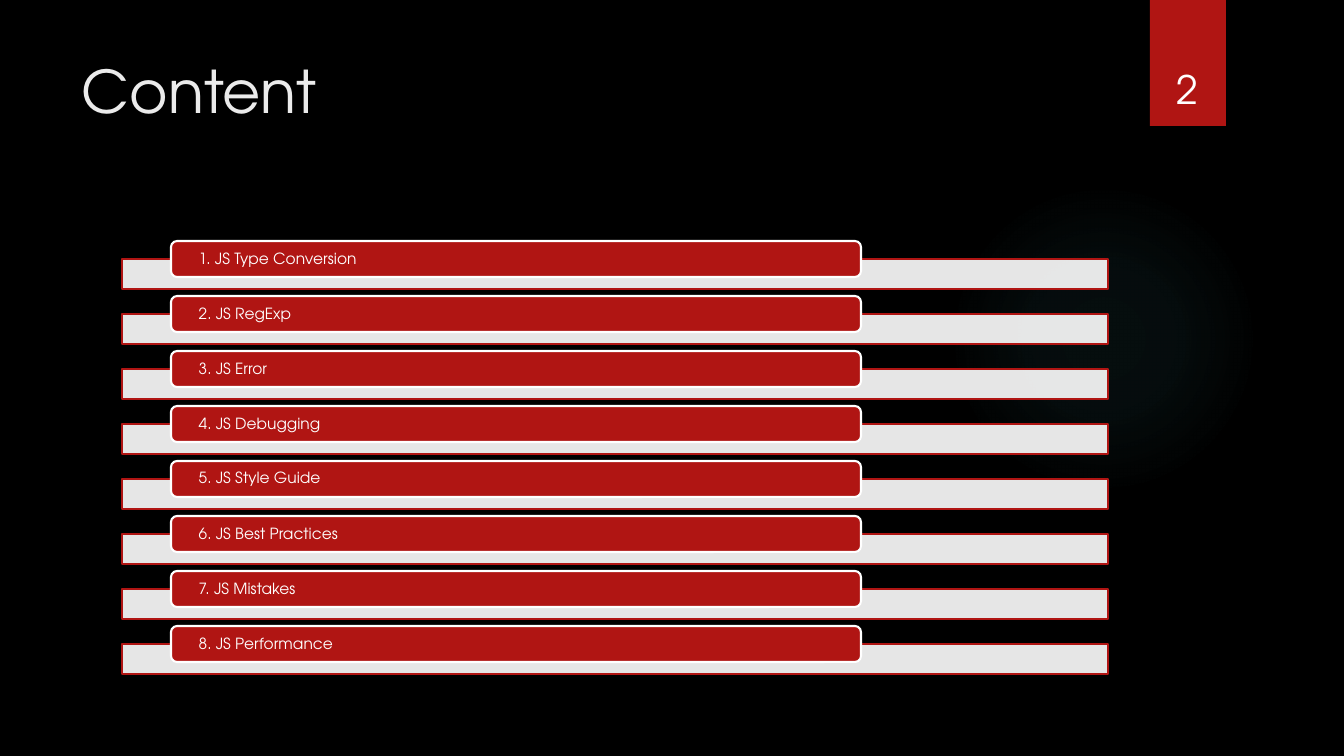
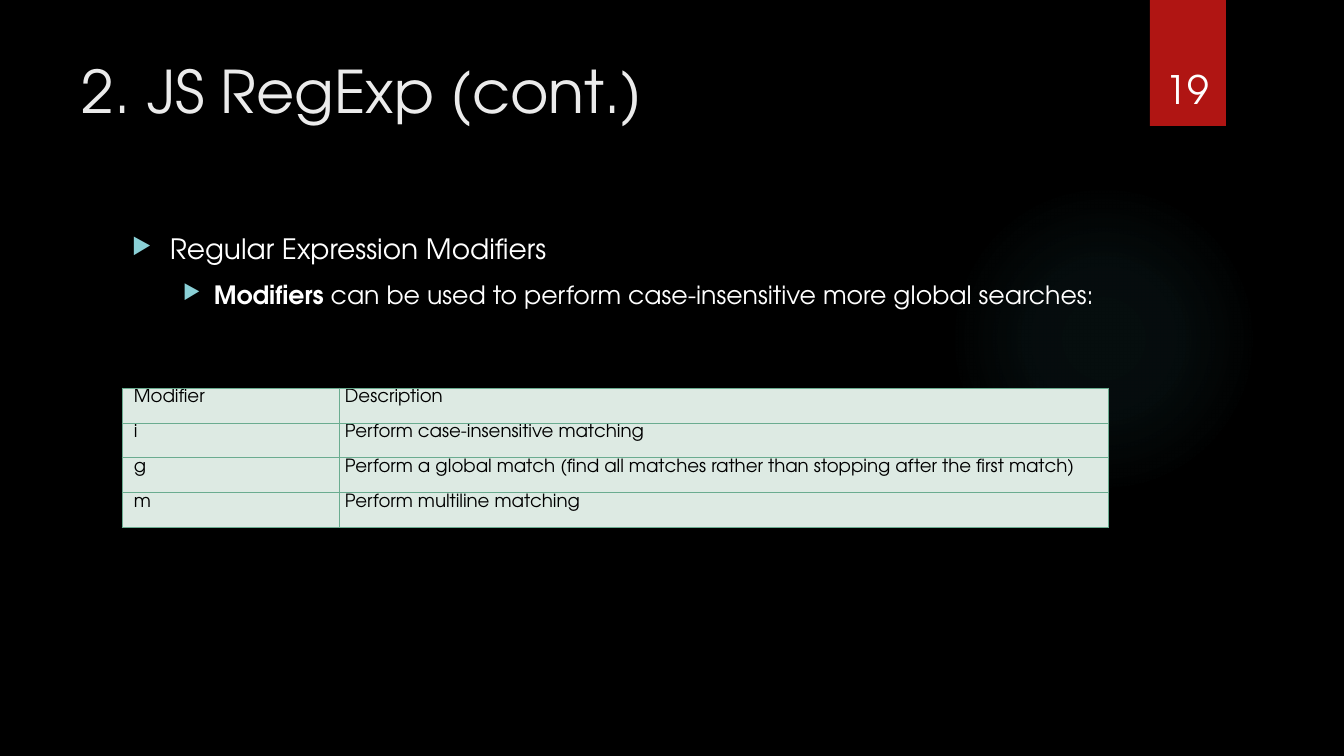
import pptx
import pptx.dml.color
import pptx.enum.shapes
import pptx.enum.text
import pptx.oxml
import pptx.oxml.ns
import pptx.util
from lxml import etree

RGBColor = pptx.dml.color.RGBColor
Shape = pptx.enum.shapes.MSO_SHAPE
Anchor = pptx.enum.text.MSO_ANCHOR
Align = pptx.enum.text.PP_ALIGN
qn = pptx.oxml.ns.qn

BLACK = RGBColor(0x00, 0x00, 0x00)
WHITE = RGBColor(0xFF, 0xFF, 0xFF)
TITLE_GREY = RGBColor(0xEB, 0xEB, 0xEB)
RED = RGBColor(0xB0, 0x15, 0x13)
GLOW_TEAL = RGBColor(0x50, 0xB9, 0xC1)
BULLET_TEAL = RGBColor(0x8A, 0xD0, 0xD6)
CELL_GREEN = RGBColor(0xDD, 0xEA, 0xE3)
GRID_GREEN = RGBColor(0x6A, 0xAC, 0x90)

FONT = "TeX Gyre Adventor"
WIDTH, HEIGHT = 1344, 756
SCALE = 12192000 / WIDTH
CONTENT_LEFT, CONTENT_WIDTH = 122, 986


def px(length):
    return pptx.util.Emu(round(length * SCALE))


class Deck:
    def __init__(self):
        self.prs = pptx.Presentation()
        self.prs.slide_width = px(WIDTH)
        self.prs.slide_height = px(HEIGHT)
        self.slide = None

    def add_slide(self, title, number):
        self.slide = self.prs.slides.add_slide(self.prs.slide_layouts[6])
        background = self.slide.background.fill
        background.solid()
        background.fore_color.rgb = BLACK
        self.glow(949, 184, 310)
        self.box(Shape.RECTANGLE, 1150, 0, 76, 126, RED)
        self.text(title, 72, 50, 1037, 154, 42, TITLE_GREY)
        self.text(number, 1141, 32, 93, 85, 28, WHITE, Anchor.BOTTOM, Align.CENTER)

    def box(self, kind, left, top, width, height, fill, line=None):
        shape = self.slide.shapes.add_shape(kind, px(left), px(top), px(width), px(height))
        shape.shadow.inherit = False
        shape.fill.solid()
        shape.fill.fore_color.rgb = fill
        if line is None:
            shape.line.fill.background()
        else:
            shape.line.color.rgb = line
            shape.line.width = pptx.util.Pt(1.5)
        return shape

    def glow(self, left, top, size):
        halo = self.box(Shape.OVAL, left, top, size, size, GLOW_TEAL)
        stops = "".join(
            f'<a:gs pos="{place * 1000}"><a:srgbClr val="{GLOW_TEAL}">'
            f'<a:alpha val="{alpha * 1000}"/></a:srgbClr></a:gs>'
            for place, alpha in ((0, 7), (36, 6), (69, 0), (100, 0))
        )
        gradient = pptx.oxml.parse_xml(
            f'<a:gradFill {pptx.oxml.ns.nsdecls("a")} rotWithShape="1"><a:gsLst>{stops}</a:gsLst>'
            '<a:path path="circle"><a:fillToRect l="50000" t="50000" r="50000" b="50000"/></a:path>'
            '</a:gradFill>'
        )
        properties = halo._element.spPr
        properties.replace(properties.find(qn("a:solidFill")), gradient)

    def style(self, paragraph, size, color):
        for run in paragraph.runs:
            run.font.name = FONT
            run.font.size = pptx.util.Pt(size)
            run.font.color.rgb = color

    def frame(self, left, top, width, height):
        frame = self.slide.shapes.add_textbox(
            px(left), px(top), px(width), px(height)).text_frame
        frame.word_wrap = True
        return frame

    def text(self, words, left, top, width, height, size, color,
             anchor=Anchor.TOP, align=Align.LEFT):
        frame = self.frame(left, top, width, height)
        frame.text = words
        frame.vertical_anchor = anchor
        frame.paragraphs[0].alignment = align
        self.style(frame.paragraphs[0], size, color)

    def topics(self, names, top, pitch):
        for index, name in enumerate(names):
            y = top + index * pitch
            band = self.box(Shape.RECTANGLE, CONTENT_LEFT, y + 18, CONTENT_WIDTH, 30, WHITE, RED)
            tint = band._element.spPr.find(qn("a:solidFill"))[0]
            etree.SubElement(tint, qn("a:alpha"), val="90000")
            label = self.box(Shape.ROUNDED_RECTANGLE, 171, y, 690, 36, RED, WHITE)
            frame = label.text_frame
            frame.text = f"{index + 1}. {name}"
            frame.vertical_anchor = Anchor.MIDDLE
            frame.margin_left = frame.margin_right = px(26)
            frame.margin_top = frame.margin_bottom = 0
            paragraph = frame.paragraphs[0]
            paragraph.alignment = Align.LEFT
            paragraph.line_spacing = 0.9
            paragraph.space_after = pptx.util.Pt(4)
            self.style(paragraph, 11, WHITE)

    def bullets(self, items, top, height):
        frame = self.frame(CONTENT_LEFT, top, CONTENT_WIDTH, height)
        for index, (level, size, indent, hanging, strong, words) in enumerate(items):
            paragraph = frame.add_paragraph() if index else frame.paragraphs[0]
            paragraph.level = level
            paragraph.space_before = pptx.util.Pt(10)
            for part, bold in ((strong, True), (words, False)):
                if part:
                    run = paragraph.add_run()
                    run.text = part
                    run.font.bold = bold
            self.style(paragraph, size, WHITE)
            properties = paragraph._p.get_or_add_pPr()
            properties.set("marL", str(px(indent)))
            properties.set("indent", str(px(-hanging)))
            color = etree.SubElement(properties, qn("a:buClr"))
            etree.SubElement(color, qn("a:srgbClr"), val=str(BULLET_TEAL))
            etree.SubElement(properties, qn("a:buSzPct"), val="80000")
            etree.SubElement(properties, qn("a:buChar"), char="▶")

    def table(self, rows, top, column_widths, row_height):
        table = self.slide.shapes.add_table(
            len(rows), len(column_widths), px(CONTENT_LEFT), px(top),
            px(sum(column_widths)), px(row_height * len(rows))).table
        table.first_row = table.horz_banding = False
        for column, width in zip(table.columns, column_widths):
            column.width = px(width)
        for row, values in zip(table.rows, rows):
            row.height = px(row_height)
            for index, (cell, value) in enumerate(zip(row.cells, values)):
                cell.text = value
                cell.margin_left = px(6 if index else 12)
                cell.margin_right = px(6)
                cell.margin_top = cell.margin_bottom = px(1)
                self.style(cell.text_frame.paragraphs[0], 13, BLACK)
                self.cell_borders(cell)
                cell.fill.solid()
                cell.fill.fore_color.rgb = CELL_GREEN

    def cell_borders(self, cell):
        properties = cell._tc.get_or_add_tcPr()
        for side in ("lnL", "lnR", "lnT", "lnB"):
            border = etree.SubElement(properties, qn(f"a:{side}"), w=str(pptx.util.Pt(0.75)))
            fill = etree.SubElement(border, qn("a:solidFill"))
            etree.SubElement(fill, qn("a:srgbClr"), val=str(GRID_GREEN))


def main():
    deck = Deck()

    deck.add_slide("Content", "2")
    deck.topics(
        ["JS Type Conversion", "JS RegExp", "JS Error", "JS Debugging",
         "JS Style Guide", "JS Best Practices", "JS Mistakes", "JS Performance"],
        top=241, pitch=55)

    deck.add_slide("2. JS RegExp (cont.)", "19")
    deck.bullets(
        [(0, 20, 38, 38, "", "Regular Expression Modifiers"),
         (1, 18, 82, 31, "Modifiers",
          " can be used to perform case-insensitive more global searches:")],
        top=227, height=463)
    deck.table(
        [("Modifier", "Description"),
         ("i", "Perform case-insensitive matching"),
         ("g", "Perform a global match (find all matches rather than stopping after the first match)"),
         ("m", "Perform multiline matching")],
        top=388, column_widths=(217, 769), row_height=35)

    deck.prs.save("out.pptx")


if __name__ == "__main__":
    main()
